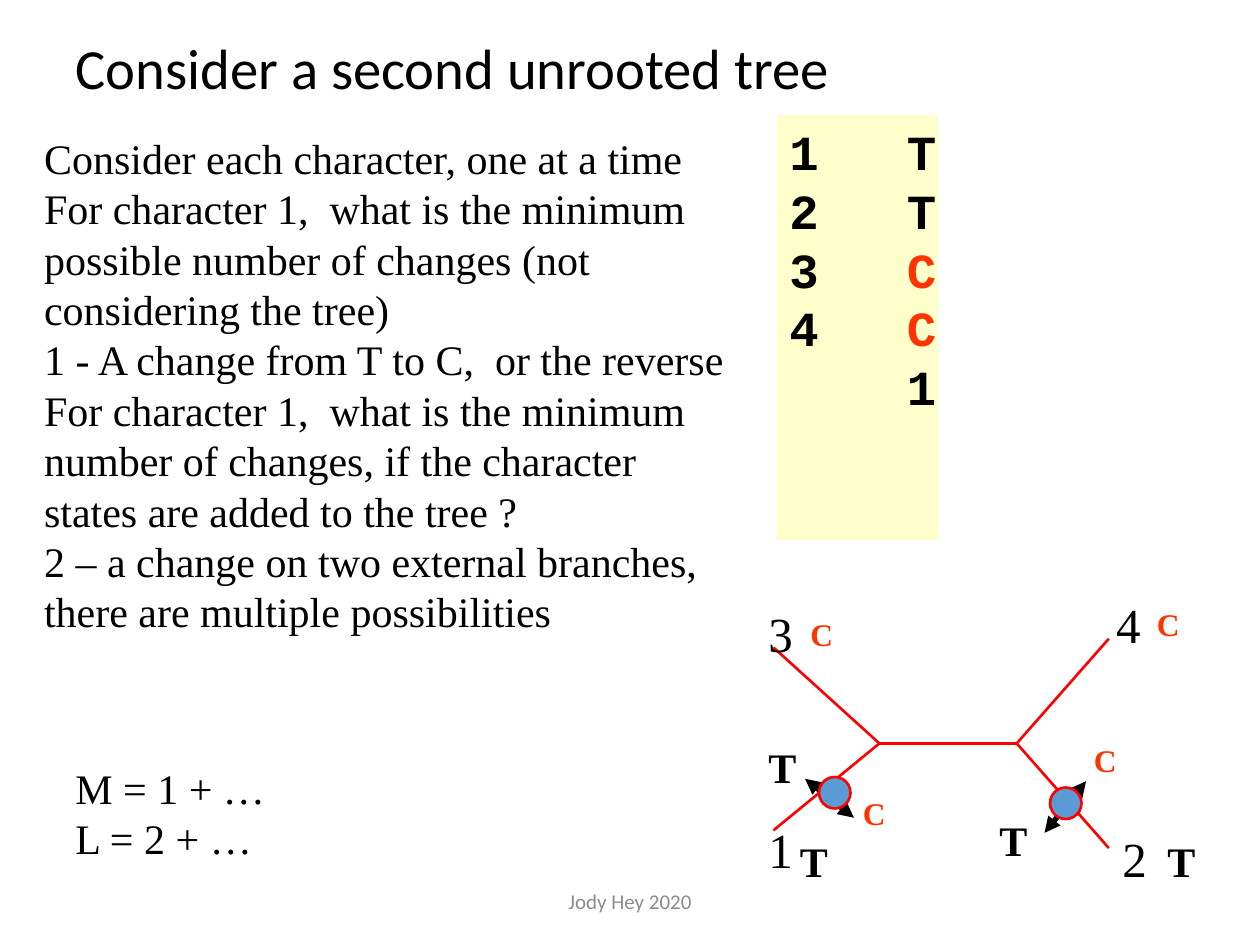
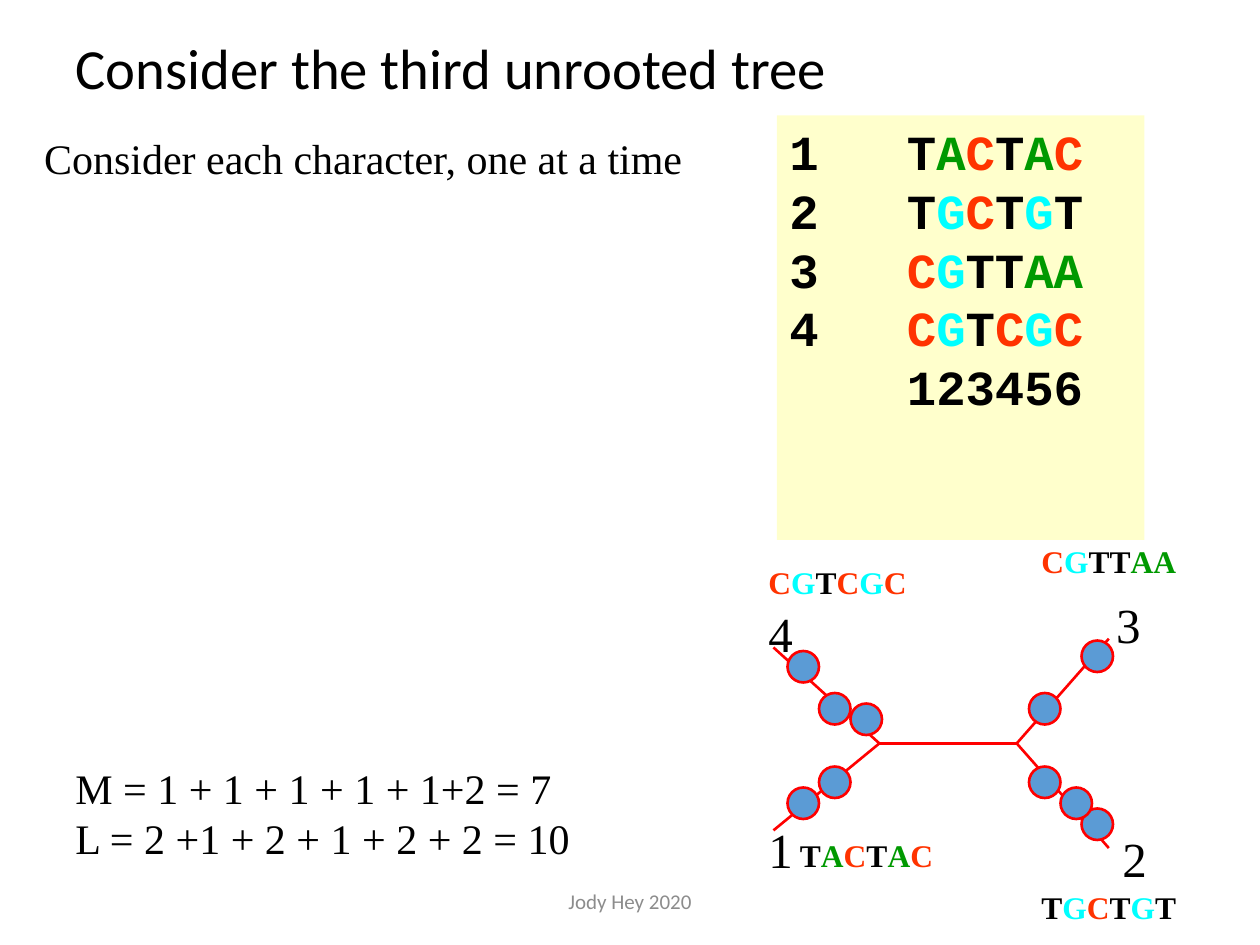
from itertools import groupby

from lxml.etree import SubElement
from pptx import Presentation
from pptx.dml.color import RGBColor
from pptx.enum.shapes import MSO_CONNECTOR, MSO_SHAPE
from pptx.enum.text import MSO_ANCHOR, MSO_AUTO_SIZE, PP_ALIGN
from pptx.oxml.ns import qn
from pptx.util import Pt

COLORS = {
    "text": "000000", "branch": "FF0000", "change": "5B9BD5",
    "panel": "FFFF00", "footer": "8C8C8C",
    "A": "009900", "C": "FF3300", "G": "00FFFF", "T": "000000",
}
SERIF, MONO, SANS = "Times New Roman", "Courier New", "Calibri"
LEFT_NODE, RIGHT_NODE = (502.5, 424.8), (581, 424.8)
TIPS = {
    "lower left": (442, 474.5), "upper left": (442, 370),
    "lower right": (633.6, 484.6), "upper right": (633.6, 365),
}
TAXON_SPOTS = {
    "lower left": (432, 465), "upper left": (432, 341.3),
    "lower right": (634.3, 470.2), "upper right": (630.7, 336.2),
}


def rgb(name):
    return RGBColor.from_string(COLORS[name])


class TreeSlide:
    def __init__(self, deck, title):
        self.slide = deck.slides.add_slide(deck.slide_layouts[1])
        self.shapes = self.slide.shapes
        heading = self.shapes.title
        self.place(heading, 36, 21.6, 648, 38.2)
        frame = heading.text_frame
        frame.text = title
        frame.auto_size = MSO_AUTO_SIZE.NONE
        frame.vertical_anchor = MSO_ANCHOR.MIDDLE
        paragraph = frame.paragraphs[0]
        paragraph.alignment = PP_ALIGN.LEFT
        paragraph.line_spacing = 0.9
        self.format(paragraph, 32.4, SANS)

    def place(self, shape, left, top, width, height):
        shape.left, shape.top = Pt(left), Pt(top)
        shape.width, shape.height = Pt(width), Pt(height)

    def format(self, paragraph, size, font, color="text", bold=False):
        for run in paragraph.runs:
            run.font.size, run.font.name, run.font.bold = Pt(size), font, bold
            run.font.color.rgb = rgb(color)

    def fill_frame(self, frame, lines, size, color="text", bold=False):
        frame.word_wrap = True
        frame.text = "\n".join(lines)
        for paragraph in frame.paragraphs:
            paragraph.line_spacing = Pt(size * 1.2)
            self.format(paragraph, size, SERIF, color, bold)

    def text(self, lines, left, top, width, height, size, color="text", bold=False):
        box = self.shapes.add_textbox(Pt(left), Pt(top), Pt(width), Pt(height))
        self.fill_frame(box.text_frame, lines, size, color, bold)
        return box

    def body(self, lines, height):
        body = self.slide.placeholders[1]
        self.place(body, 18, 72, 408, height)
        frame = body.text_frame
        frame.auto_size = MSO_AUTO_SIZE.NONE
        frame.vertical_anchor = MSO_ANCHOR.TOP
        self.fill_frame(frame, lines, 24)
        for paragraph in frame.paragraphs:
            paragraph.space_before = Pt(0)
            props = paragraph._p.get_or_add_pPr()
            props.set("marL", "0")
            props.set("indent", "0")
            SubElement(props, qn("a:buNone"))

    def add_bases(self, paragraph, bases, size, font):
        paragraph.line_spacing = Pt(size * 1.2)
        for color, letters in groupby(bases, lambda base: COLORS.get(base, COLORS["text"])):
            run = paragraph.add_run()
            run.text = "".join(letters)
            run.font.size, run.font.name, run.font.bold = Pt(size), font, True
            run.font.color.rgb = RGBColor.from_string(color)

    def sequence(self, bases, left, top, width=120):
        box = self.shapes.add_textbox(Pt(left), Pt(top), Pt(width), Pt(36))
        box.text_frame.word_wrap = True
        self.add_bases(box.text_frame.paragraphs[0], bases, 18, SERIF)

    def alignment(self, rows, width):
        panel = self.shapes.add_shape(MSO_SHAPE.RECTANGLE, Pt(444), Pt(66), Pt(width), Pt(242.6))
        panel.shadow.inherit = False
        panel.line.fill.background()
        panel.fill.solid()
        panel.fill.fore_color.rgb = rgb("panel")
        tint = panel.fill._xPr.find(qn("a:solidFill"))[0]
        SubElement(tint, qn("a:alpha")).set("val", "20000")
        frame = panel.text_frame
        frame.word_wrap = True
        frame.margin_right = 0
        frame.vertical_anchor = MSO_ANCHOR.TOP
        positions = "123456"[:len(rows[0])]
        labelled = [f"{taxon}\t{bases}" for taxon, bases in enumerate(rows, 1)]
        for index, row in enumerate(labelled + [f"\t{positions}"]):
            paragraph = frame.add_paragraph() if index else frame.paragraphs[0]
            paragraph.alignment = PP_ALIGN.LEFT
            self.add_bases(paragraph, row, 28, MONO)
            tabs = SubElement(paragraph._p.get_or_add_pPr(), qn("a:tabLst"))
            stop = SubElement(tabs, qn("a:tab"))
            stop.set("pos", str(Pt(67.2)))
            stop.set("algn", "l")

    def line(self, start, end, color, width):
        points = [Pt(value) for value in (*start, *end)]
        connector = self.shapes.add_connector(MSO_CONNECTOR.STRAIGHT, *points)
        connector.line.color.rgb = rgb(color)
        connector.line.width = Pt(width)
        SubElement(connector._element.spPr, qn("a:effectLst"))
        return connector

    def double_arrow(self, start, end):
        arrow = self.line(start, end, "text", 3)
        for tag in ("a:headEnd", "a:tailEnd"):
            SubElement(arrow.line._get_or_add_ln(), qn(tag)).set("type", "triangle")

    def tree(self, taxa):
        parts = [self.line(LEFT_NODE, RIGHT_NODE, "branch", 1.5)]
        for corner, tip in TIPS.items():
            node = LEFT_NODE if "left" in corner else RIGHT_NODE
            parts.append(self.line(node, tip, "branch", 1.5))
        for corner, taxon in taxa.items():
            parts.append(self.text([taxon], *TAXON_SPOTS[corner], 25.2, 41, 28))
        self.shapes.add_group_shape(parts)

    def changes(self, spots):
        for left, top in spots:
            dot = self.shapes.add_shape(MSO_SHAPE.OVAL, Pt(left), Pt(top), Pt(18), Pt(18))
            dot.shadow.inherit = False
            dot.fill.solid()
            dot.fill.fore_color.rgb = rgb("change")
            dot.line.color.rgb = rgb("branch")
            dot.line.width = Pt(1.5)

    def scores(self, minimum, length):
        self.text([f"M = {minimum}", f"L = {length}"], 36, 432, 324, 79.2, 24)

    def footer(self):
        box = self.shapes.add_textbox(Pt(238.3), Pt(500.4), Pt(243.4), Pt(28.8))
        frame = box.text_frame
        frame.word_wrap = True
        frame.vertical_anchor = MSO_ANCHOR.MIDDLE
        frame.text = "Jody Hey 2020"
        frame.paragraphs[0].alignment = PP_ALIGN.CENTER
        self.format(frame.paragraphs[0], 12, SANS, "footer")


def second_tree(deck):
    page = TreeSlide(deck, "Consider a second unrooted tree")
    page.tree({"lower left": "1", "upper left": "3", "lower right": "2", "upper right": "4"})
    page.alignment(["T", "T", "C", "C"], 92)
    page.body([
        "Consider each character, one at a time",
        "For character 1,  what is the minimum possible number of changes "
        "(not considering the tree)",
        "1 - A change from T to C,  or the reverse",
        "For character 1,  what is the minimum number of changes, "
        "if the character states are added to the tree ?",
        "2 – a change on two external branches, there are multiple possibilities",
    ], 352)
    page.scores("1 + …", "2 + …")
    for left, top in [(456, 348), (654, 342), (486, 450), (618, 420)]:
        page.text(["C"], left, top, 36, 36, 18, "C", True)
    for left, top in [(660, 474), (450, 474), (432, 420), (564, 462)]:
        page.text(["T"], left, top, 36, 36, 24, "T", True)
    page.double_arrow((460, 445), (488, 467.3))
    page.double_arrow((620.6, 446.4), (596.9, 475.9))
    page.changes([(600, 450), (468, 444)])
    page.footer()


def third_tree(deck):
    rows = ["TACTAC", "TGCTGT", "CGTTAA", "CGTCGC"]
    page = TreeSlide(deck, "Consider the third unrooted tree")
    page.tree({"lower left": "1", "upper left": "4", "lower right": "2", "upper right": "3"})
    page.alignment(rows, 210)
    page.body(["Consider each character, one at a time"], 79.2)
    page.scores("1 + 1 + 1 + 1 + 1+2 = 7", "2 +1 + 2 + 1 + 2 + 2 = 10")
    spots = [(450, 474), (588, 504), (588, 306), (432, 318)]
    for bases, (left, top) in zip(rows, spots):
        page.sequence(bases, left, top)
    page.changes([
        (468, 438), (468, 396), (588, 396), (450, 372), (618, 366),
        (588, 438), (450, 450), (618, 462), (486, 402), (606, 450),
    ])
    page.footer()


def main():
    deck = Presentation()
    deck.slide_width, deck.slide_height = Pt(720), Pt(540)
    second_tree(deck)
    third_tree(deck)
    deck.save("out.pptx")


if __name__ == "__main__":
    main()
